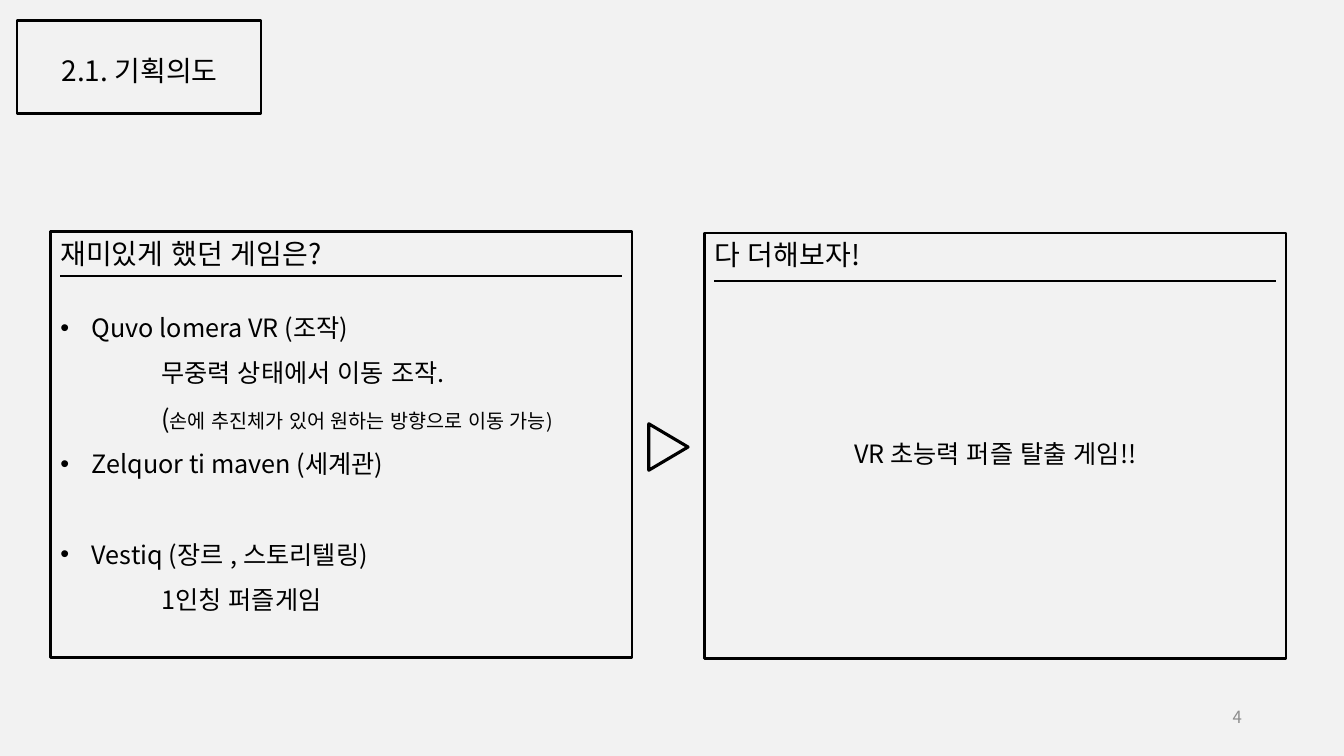
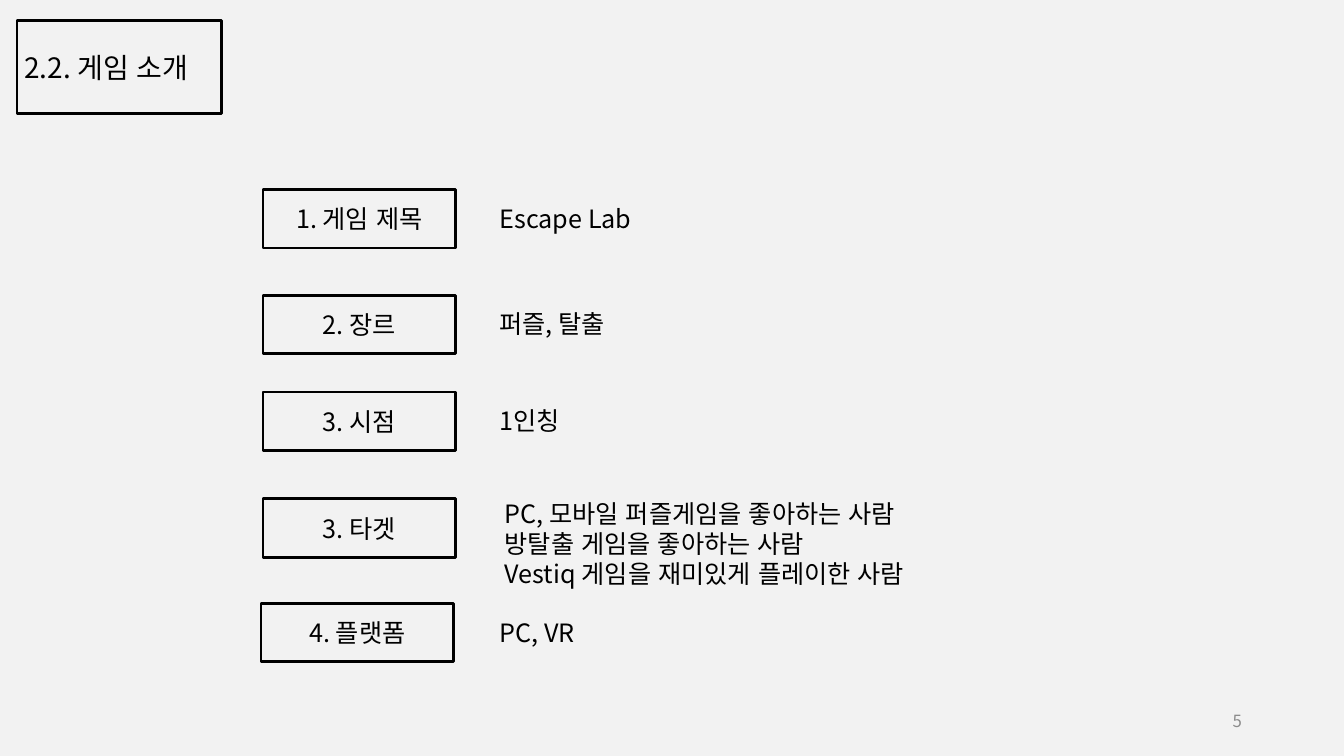
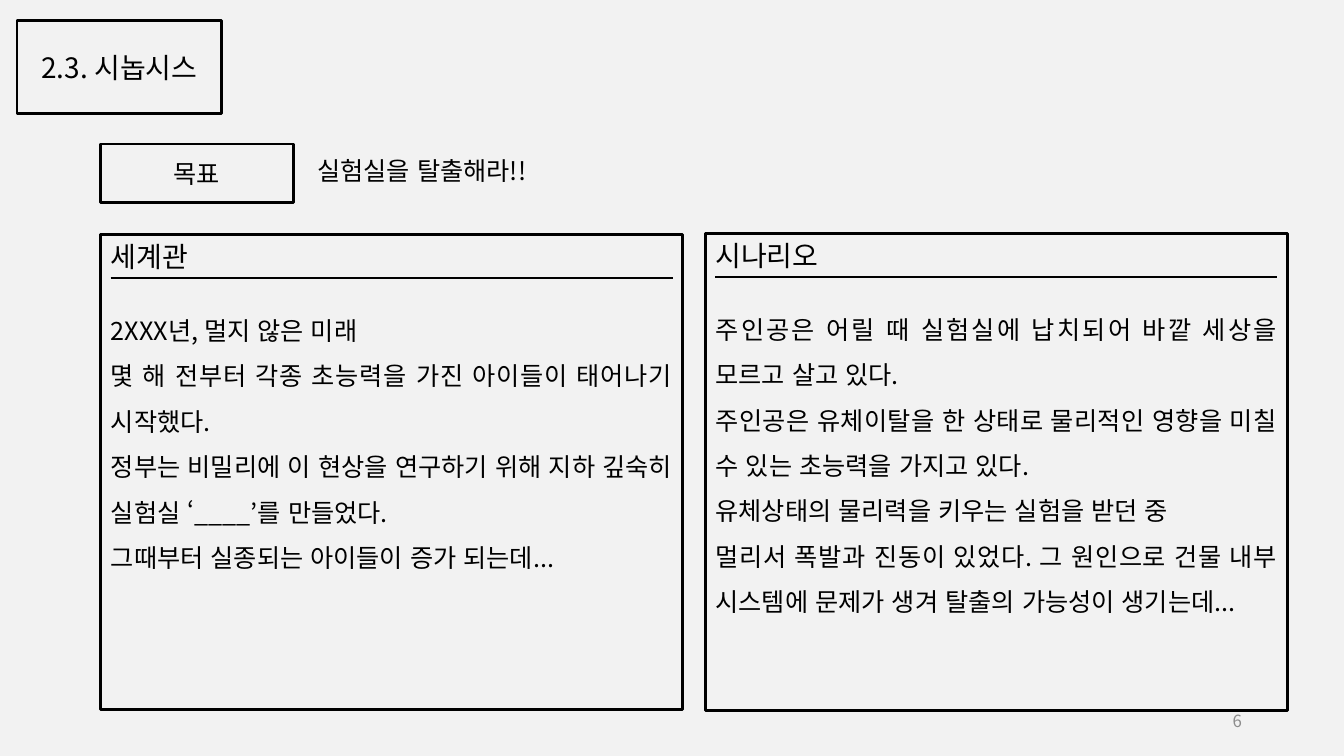
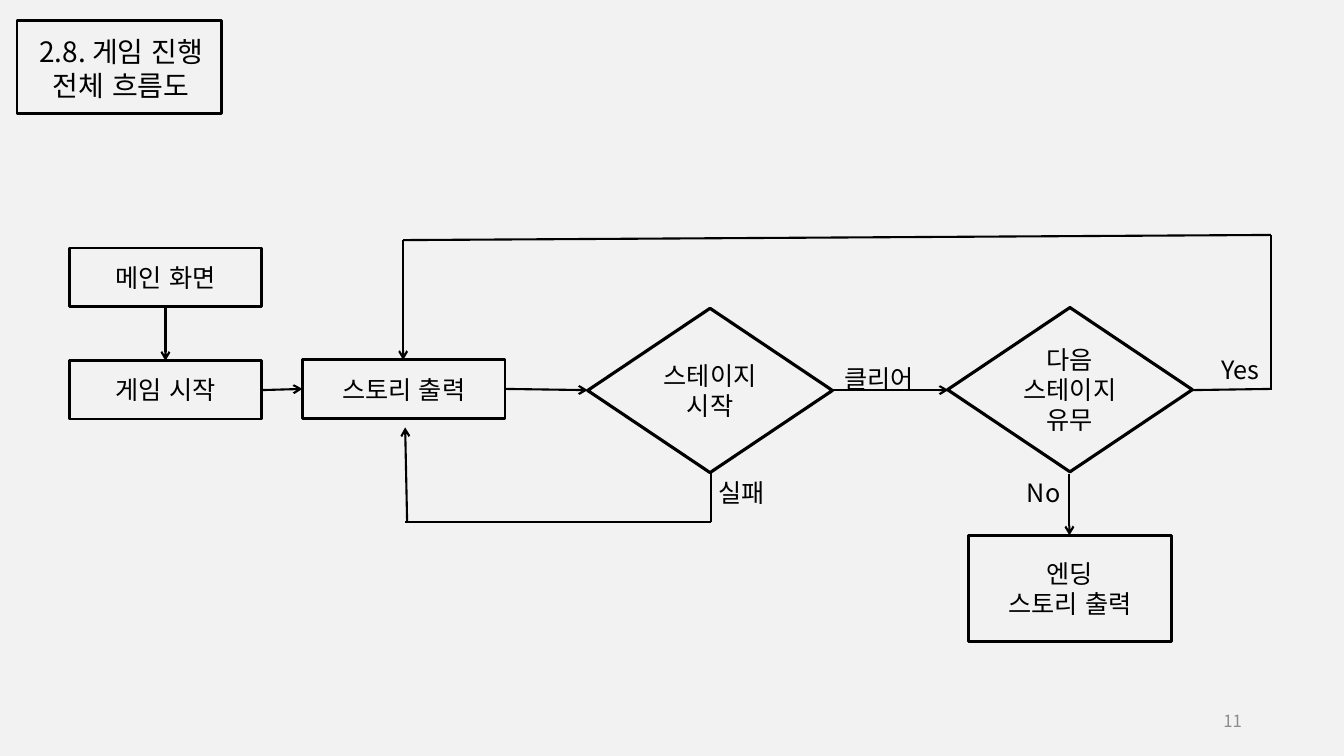
"""Build four slides of a game proposal: intent, introduction, synopsis and flow."""
from dataclasses import dataclass

from lxml.etree import SubElement
from pptx import Presentation
from pptx.dml.color import RGBColor
from pptx.enum.lang import MSO_LANGUAGE_ID as Language
from pptx.enum.shapes import MSO_CONNECTOR as Connector, MSO_SHAPE as Preset
from pptx.enum.text import MSO_ANCHOR as Anchor, MSO_AUTO_SIZE as AutoSize, PP_ALIGN as Align
from pptx.oxml import parse_xml
from pptx.oxml.ns import nsdecls, qn
from pptx.util import Cm, Pt

COLORS = {"background": "F2F2F2", "ink": "000000", "number": "8C8C8C"}
FONT = "Noto Sans CJK KR"
TWO_CONTENT, TITLE_ONLY = 3, 5
BOX_WIDTH, BOX_HEIGHT = 4.85, 1.47
TEXT_HEIGHT = 1.02
RULE_INSET = 0.25


@dataclass(frozen=True)
class Run:
    text: str
    size: float = 18
    color: str = "ink"
    outlined: bool = True


@dataclass(frozen=True)
class Para:
    runs: tuple[Run, ...]
    align: Align = Align.LEFT
    spacing: float = 1.0
    before: float = 0
    margin: float = 0
    bullet: bool = False


@dataclass(frozen=True)
class Box:
    left: float
    top: float
    width: float
    height: float


@dataclass(frozen=True)
class Heading:
    lines: tuple[str, ...]
    box: Box
    frame_width: float = 5.16
    align: Align = Align.CENTER


@dataclass(frozen=True)
class Panel:
    heading: str
    box: Box
    body: tuple[Para, ...]
    rule_top: float = 1.09
    body_top: float = 1.52


@dataclass(frozen=True)
class Entry:
    label: str
    lines: tuple[str, ...]
    top: float
    left: float = 6.63
    text_left: float = 12.34
    text_offset: float = 0.21


@dataclass(frozen=True)
class Node:
    lines: tuple[str, ...]
    box: Box
    preset: Preset = Preset.RECTANGLE
    weight: float = 2


@dataclass(frozen=True)
class Link:
    start: tuple[float, float]
    end: tuple[float, float]
    arrow: bool = True


def color(name: str) -> RGBColor:
    return RGBColor.from_string(COLORS[name])


def plain(*lines: str, size: float = 18, align: Align = Align.LEFT) -> tuple[Para, ...]:
    return tuple(Para((Run(line, size),), align) for line in lines)


def story(*lines: str) -> tuple[Para, ...]:
    return tuple(Para((Run(line),), Align.JUSTIFY, 1.5) for line in lines)


def point(text: str, before: float = 0) -> Para:
    return Para((Run(text),), Align.JUSTIFY, 1.5, before, 0.79, True)


def detail(*runs: Run) -> Para:
    return Para(runs, Align.JUSTIFY, 1.5, 0, 2.54)


def add_run(paragraph, item: Run) -> None:
    run = paragraph.add_run()
    run.text = item.text
    font = run.font
    font.size, font.name = Pt(item.size), FONT
    font.language_id = Language.KOREAN
    font.color.rgb = color(item.color)
    properties = run._r.get_or_add_rPr()
    SubElement(properties, qn("a:ea"), typeface=FONT)
    if item.outlined:
        properties.insert(0, parse_xml(
            f'<a:ln {nsdecls("a")} w="9525"><a:solidFill><a:srgbClr val="{COLORS["ink"]}">'
            '<a:alpha val="30000"/></a:srgbClr></a:solidFill></a:ln>'))


def write(shape, paras: tuple[Para, ...], anchor: Anchor = Anchor.TOP) -> None:
    frame = shape.text_frame
    frame.word_wrap, frame.auto_size = True, AutoSize.NONE
    frame.vertical_anchor = anchor
    for index, item in enumerate(paras):
        paragraph = frame.add_paragraph() if index else frame.paragraphs[0]
        paragraph.alignment, paragraph.line_spacing = item.align, item.spacing
        paragraph.space_before, paragraph.space_after = Pt(item.before), Pt(0)
        properties = paragraph._p.get_or_add_pPr()
        properties.set("marL", str(Cm(item.margin)))
        properties.set("indent", str(-Cm(item.margin) if item.bullet else 0))
        if item.bullet:
            SubElement(properties, qn("a:buFont"), typeface="Arial")
            SubElement(properties, qn("a:buChar"), char="•")
        else:
            SubElement(properties, qn("a:buNone"))
        for run in item.runs:
            add_run(paragraph, run)


def place(shape, box: Box) -> None:
    shape.left, shape.top = Cm(box.left), Cm(box.top)
    shape.width, shape.height = Cm(box.width), Cm(box.height)


def add_text(slide, box: Box, paras: tuple[Para, ...], anchor: Anchor = Anchor.TOP) -> None:
    shape = slide.shapes.add_textbox(Cm(box.left), Cm(box.top), Cm(box.width), Cm(box.height))
    write(shape, paras, anchor)


def add_outline(slide, box: Box, preset: Preset = Preset.RECTANGLE, weight: float = 2):
    shape = slide.shapes.add_shape(
        preset, Cm(box.left), Cm(box.top), Cm(box.width), Cm(box.height))
    shape.shadow.inherit = False
    shape.fill.background()
    shape.line.color.rgb, shape.line.width = color("ink"), Pt(weight)
    return shape


def add_node(slide, node: Node) -> None:
    shape = add_outline(slide, node.box, node.preset, node.weight)
    write(shape, plain(*node.lines, align=Align.CENTER), Anchor.MIDDLE)


def add_link(slide, link: Link, weight: float = 1.5) -> None:
    connector = slide.shapes.add_connector(
        Connector.STRAIGHT, *(Cm(value) for value in link.start + link.end))
    connector.line.color.rgb, connector.line.width = color("ink"), Pt(weight)
    if link.arrow:
        SubElement(connector.line._get_or_add_ln(), qn("a:tailEnd"), type="arrow")
    SubElement(connector._element.spPr, qn("a:effectLst"))


def add_panel(slide, panel: Panel, body) -> None:
    box = panel.box
    add_outline(slide, box)
    add_text(slide, Box(box.left, box.top, box.width, 1.12), plain(panel.heading, size=20))
    rule = box.top + panel.rule_top
    add_link(slide, Link((box.left + RULE_INSET, rule),
                         (box.left + box.width - RULE_INSET, rule), False), 1.25)
    place(body, Box(box.left, box.top + panel.body_top, box.width, box.height - panel.body_top))
    write(body, panel.body)


def add_entry(slide, entry: Entry) -> None:
    add_node(slide, Node((entry.label,), Box(entry.left, entry.top, BOX_WIDTH, BOX_HEIGHT)))
    height = TEXT_HEIGHT + 0.77 * (len(entry.lines) - 1)
    add_text(slide, Box(entry.text_left, entry.top + entry.text_offset, 14.88, height),
             plain(*entry.lines))


def start_slide(presentation, layout: int, heading: Heading, number: int,
                number_top: float = 17.65):
    slide = presentation.slides.add_slide(presentation.slide_layouts[layout])
    place(slide.shapes.title, heading.box)
    write(slide.shapes.title, plain(*heading.lines, size=20, align=heading.align), Anchor.MIDDLE)
    add_outline(slide, Box(0.43, 0.51, heading.frame_width, 2.36))
    add_text(slide, Box(23.93, number_top, 7.62, TEXT_HEIGHT),
             (Para((Run(str(number), 12, "number", False),), Align.RIGHT),), Anchor.MIDDLE)
    return slide


def build_intent(presentation) -> None:
    heading = Heading(("2.1. 기획의도",), Box(0.61, 1.22, 5.82, 1.12), 6.15)
    slide = start_slide(presentation, TWO_CONTENT, heading, 4, 17.55)
    games = (
        point("Quvo lomera VR (조작)"),
        detail(Run("무중력 상태에서 이동 조작.")),
        detail(Run("("), Run("손에 추진체가 있어 원하는 방향으로 이동 가능)", 14)),
        point("Zelquor ti maven (세계관)"),
        point("Vestiq (장르 , 스토리텔링)", 32.4),
        detail(Run("1인칭 퍼즐게임")),
    )
    idea = (Para((Run("VR 초능력 퍼즐 탈출 게임!!"),), Align.CENTER, 1.5),)
    panels = (
        Panel("재미있게 했던 게임은?", Box(1.27, 5.84, 14.66, 10.72), games, 1.12),
        Panel("다 더해보자!", Box(17.75, 5.87, 14.66, 10.72), idea, 1.22, 4.67),
    )
    for index, panel in enumerate(panels, 1):
        add_panel(slide, panel, slide.placeholders[index])
    triangle = add_outline(slide, Box(16.26, 10.77, 1.17, 0.99), Preset.ISOSCELES_TRIANGLE, 2.25)
    triangle.rotation = 90


def build_introduction(presentation) -> None:
    heading = Heading(("2.2. 게임 소개",), Box(0.36, 1.14, 5.33, 1.12), align=Align.LEFT)
    slide = start_slide(presentation, TITLE_ONLY, heading, 5)
    audience = ("PC, 모바일 퍼즐게임을 좋아하는 사람", "방탈출 게임을 좋아하는 사람",
                "Vestiq 게임을 재미있게 플레이한 사람")
    entries = (
        Entry("1. 게임 제목", ("Escape Lab",), 4.78),
        Entry("2. 장르", ("퍼즐, 탈출",), 7.44),
        Entry("3. 시점", ("1인칭",), 9.88),
        Entry("3. 타겟", audience, 12.57, text_left=12.47, text_offset=-0.15),
        Entry("4. 플랫폼", ("PC, VR",), 15.21, left=6.58),
    )
    for entry in entries:
        add_entry(slide, entry)


def build_synopsis(presentation) -> None:
    heading = Heading(("2.3. 시놉시스",), Box(0.43, 1.14, 5.16, 1.12))
    slide = start_slide(presentation, TWO_CONTENT, heading, 6)
    add_entry(slide, Entry("목표", ("실험실을 탈출해라!!",), 3.63, 2.54, 7.75, 0.15))
    world = story(
        "2XXX년, 멀지 않은 미래",
        "몇 해 전부터 각종 초능력을 가진 아이들이 태어나기 시작했다.",
        "정부는 비밀리에 이 현상을 연구하기 위해 지하 깊숙히 실험실 ‘____’를 만들었다.",
        "그때부터 실종되는 아이들이 증가 되는데...",
    )
    scenario = story(
        "주인공은 어릴 때 실험실에 납치되어 바깥 세상을 모르고 살고 있다.",
        "주인공은 유체이탈을 한 상태로 물리적인 영향을 미칠 수 있는 초능력을 가지고 있다.",
        "유체상태의 물리력을 키우는 실험을 받던 중",
        "멀리서 폭발과 진동이 있었다. 그 원인으로 건물 내부 시스템에 문제가 생겨 "
        "탈출의 가능성이 생기는데...",
    )
    panels = (
        Panel("세계관", Box(2.54, 5.92, 14.66, 11.96), world),
        Panel("시나리오", Box(17.78, 5.89, 14.66, 12.01), scenario),
    )
    for index, panel in enumerate(panels, 1):
        add_panel(slide, panel, slide.placeholders[index])


def build_flow(presentation) -> None:
    heading = Heading(("2.8. 게임 진행", "전체 흐름도"), Box(0.3, 0.74, 5.51, 1.96))
    slide = start_slide(presentation, TITLE_ONLY, heading, 11)
    decision = Preset.FLOWCHART_DECISION
    nodes = (
        Node(("메인 화면",), Box(1.75, 6.25, BOX_WIDTH, BOX_HEIGHT)),
        Node(("게임 시작",), Box(1.75, 9.09, BOX_WIDTH, BOX_HEIGHT)),
        Node(("스토리 출력",), Box(7.62, 9.07, 5.11, BOX_HEIGHT)),
        Node(("스테이지 시작",), Box(14.81, 7.77, 6.17, 4.14), decision, 2.25),
        Node(("다음", "스테이지 유무"), Box(23.88, 7.75, 6.17, 4.14), decision, 2.25),
        Node(("엔딩", "스토리 출력"), Box(24.41, 13.49, 5.11, 2.67)),
    )
    links = (
        Link((4.17, 7.72), (4.17, 9.09)),
        Link((6.58, 9.83), (7.62, 9.8)),
        Link((12.73, 9.8), (14.81, 9.83)),
        Link((20.98, 9.83), (23.9, 9.83)),
        Link((26.95, 11.94), (26.95, 13.49)),
        Link((17.91, 11.91), (17.91, 13.16), False),
        Link((17.91, 13.16), (10.21, 13.16), False),
        Link((10.26, 13.16), (10.21, 10.77)),
        Link((30.05, 9.83), (32.03, 9.8), False),
        Link((32.03, 5.92), (32.03, 9.83), False),
        Link((10.16, 6.05), (32.03, 5.92), False),
        Link((10.16, 6.05), (10.16, 9.07)),
    )
    labels = (("클리어", 21.03, 9.02), ("실패", 17.86, 11.91),
              ("Yes", 30.53, 8.81), ("No", 25.63, 11.91))
    for node in nodes:
        add_node(slide, node)
    for link in links:
        add_link(slide, link)
    for text, left, top in labels:
        add_text(slide, Box(left, top, 2.92, TEXT_HEIGHT), plain(text))


def main() -> None:
    presentation = Presentation()
    presentation.slide_width, presentation.slide_height = Cm(33.87), Cm(19.05)
    fill = presentation.slide_master.background.fill
    fill.solid()
    fill.fore_color.rgb = color("background")
    for build in (build_intent, build_introduction, build_synopsis, build_flow):
        build(presentation)
    presentation.save("out.pptx")


if __name__ == "__main__":
    main()
